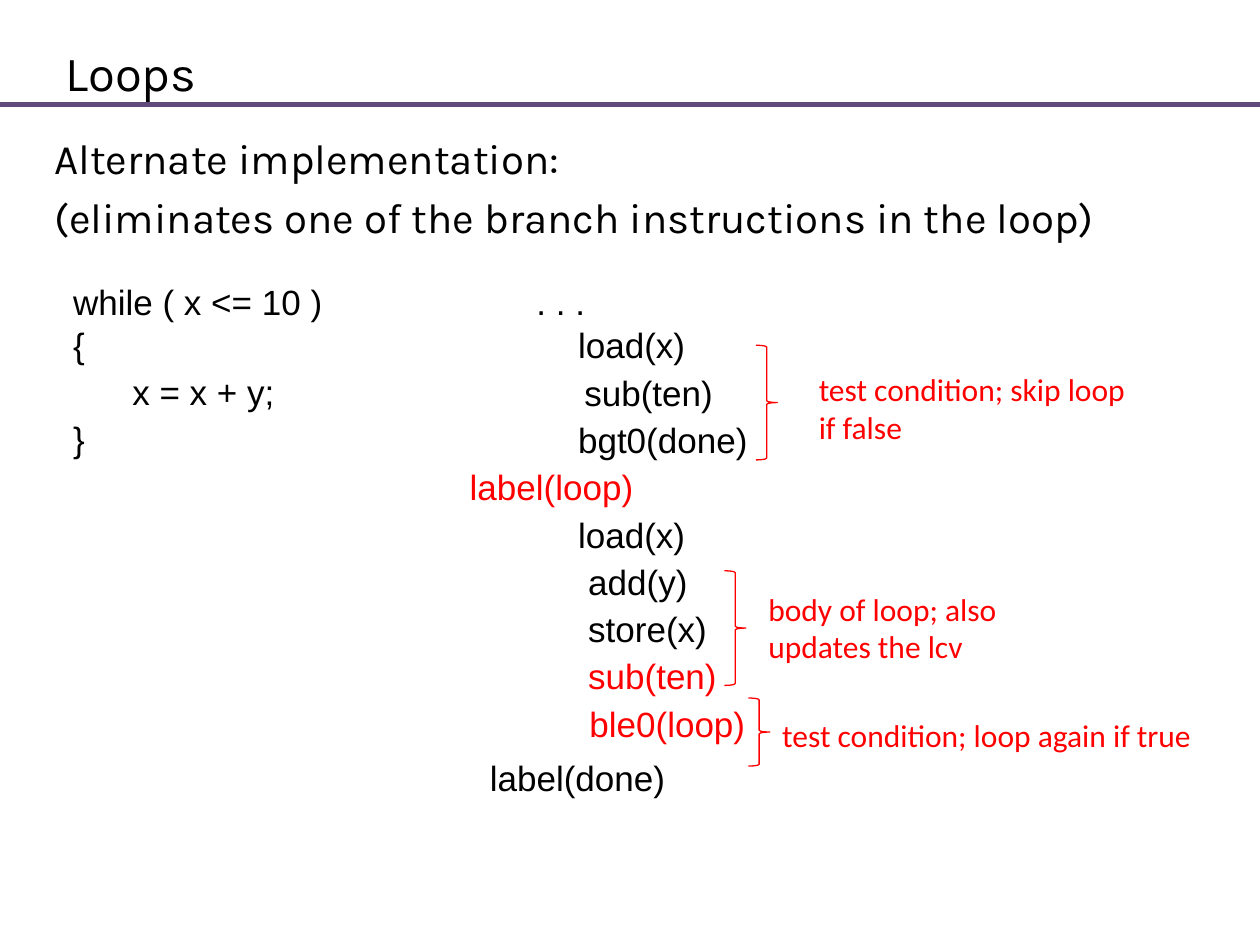
from lxml import etree
from pptx import Presentation
from pptx.dml.color import RGBColor
from pptx.enum.shapes import MSO_CONNECTOR, MSO_SHAPE
from pptx.enum.text import MSO_ANCHOR, MSO_AUTO_SIZE, PP_ALIGN
from pptx.oxml.ns import qn
from pptx.util import Inches, Pt

BLACK = RGBColor(0, 0, 0)
RED = RGBColor(255, 0, 0)
PURPLE = RGBColor(0x60, 0x4A, 0x7B)
LINE, BRACE = MSO_CONNECTOR.STRAIGHT, MSO_SHAPE.RIGHT_BRACE
LEFT, MIDDLE, TOP = PP_ALIGN.LEFT, MSO_ANCHOR.MIDDLE, MSO_ANCHOR.TOP
FIXED = MSO_AUTO_SIZE.NONE


def place(shape, left, top, width, height):
    shape.left, shape.top = Inches(left), Inches(top)
    shape.width, shape.height = Inches(width), Inches(height)


def write(frame, rows):
    """Fill a frame with rows of gap, indent, text, face, size and colour."""
    for i, (gap, indent, text, face, size, color) in enumerate(rows):
        para = frame.add_paragraph() if i else frame.paragraphs[0]
        para.text = text
        props = para._p.get_or_add_pPr()
        props.set("marL", str(Inches(indent)))
        props.set("indent", "0")
        etree.SubElement(props, qn("a:buNone"))
        para.alignment = LEFT
        para.space_before, para.space_after = Pt(gap), Pt(0)
        para.font.name = face
        para.font.size = Pt(size)
        para.font.color.rgb = color


deck = Presentation()
deck.slide_width, deck.slide_height = Inches(10), Inches(7.5)
slide = deck.slides.add_slide(deck.slide_layouts[1])
shapes = slide.shapes

# Title and the rule below it
title = shapes.title
place(title, 0.42, 0.32, 8.75, 0.5)
frame = title.text_frame
frame.auto_size, frame.vertical_anchor = FIXED, MIDDLE
write(frame, [(0, 0, "Loops", "Karla", 28, BLACK)])

rule = shapes.add_connector(LINE, 0, Inches(0.83), Inches(10), Inches(0.83))
rule.line.color.rgb = PURPLE
rule.line.width = Pt(2.5)
etree.SubElement(rule._element.spPr, qn("a:effectLst"))

# Body: lead lines and the source loop
LEADS = [
    (0, "Alternate implementation:"),
    (5, "(eliminates one of the branch instructions in the loop)"),
]
SOURCE = [
    (22, 0.15, "while ( x <= 10 )"),
    (0.6, 0.15, "{"),
    (4, 0.62, "x = x + y;"),
    (4, 0.15, "}"),
]
# Machine code beside it: space before, indent, text, colour
CODE = [
    (0, 0.53, ". . .", BLACK),
    (0.6, 0.86, "load(x)", BLACK),
    (4, 0.91, "sub(ten)", BLACK),
    (4, 0.86, "bgt0(done)", BLACK),
    (4, 0, "label(loop)", RED),
    (4, 0.86, "load(x)", BLACK),
    (4, 0.94, "add(y)", BLACK),
    (4, 0.94, "store(x)", BLACK),
    (4, 0.94, "sub(ten)", RED),
    (4, 0.95, "ble0(loop)", RED),
    (8, 0.16, "label(done)", BLACK),
]
SHRINK = 1  # points taken off each full gap between code rows
body = slide.placeholders[1]
place(body, 0.33, 1, 9.5, 6.25)
frame = body.text_frame
frame.auto_size, frame.vertical_anchor = FIXED, TOP
write(frame, [(gap, 0, text, "Karla", 24, BLACK) for gap, text in LEADS]
      + [(gap - SHRINK if gap == 4 else gap, indent, text, "Arial", 20, BLACK)
         for gap, indent, text in SOURCE])

code = shapes.add_textbox(0, 0, 0, 0)
place(code, 3.63, 2.18, 2.6, 4.3)
code.text_frame.word_wrap = True
write(code.text_frame,
      [(gap - SHRINK if gap >= 4 else gap, indent, text, "Arial", 20, color)
       for gap, indent, text, color in CODE])

# Braces with their notes
NOTES = [
    ((6, 2.74, 0.17, 0.91), (6.4, 2.89, 2.76, 0.71),
     "test condition; skip loop if false"),
    ((5.75, 4.53, 0.17, 0.91), (6, 4.63, 2.33, 0.71),
     "body of loop; also updates the lcv"),
    ((5.94, 5.54, 0.17, 0.54), (6.11, 5.63, 3.5, 0.4),
     "test condition; loop again if true"),
]
for span, area, text in NOTES:
    brace = shapes.add_shape(BRACE, *map(Inches, span))
    brace.shadow.inherit = False
    brace.fill.background()
    brace.line.color.rgb = RED
    brace.line.width = Pt(0.75)
    note = shapes.add_textbox(*map(Inches, area))
    note.text_frame.word_wrap = True
    write(note.text_frame, [(0, 0, text, "Calibri", 18, RED)])

deck.save("out.pptx")
